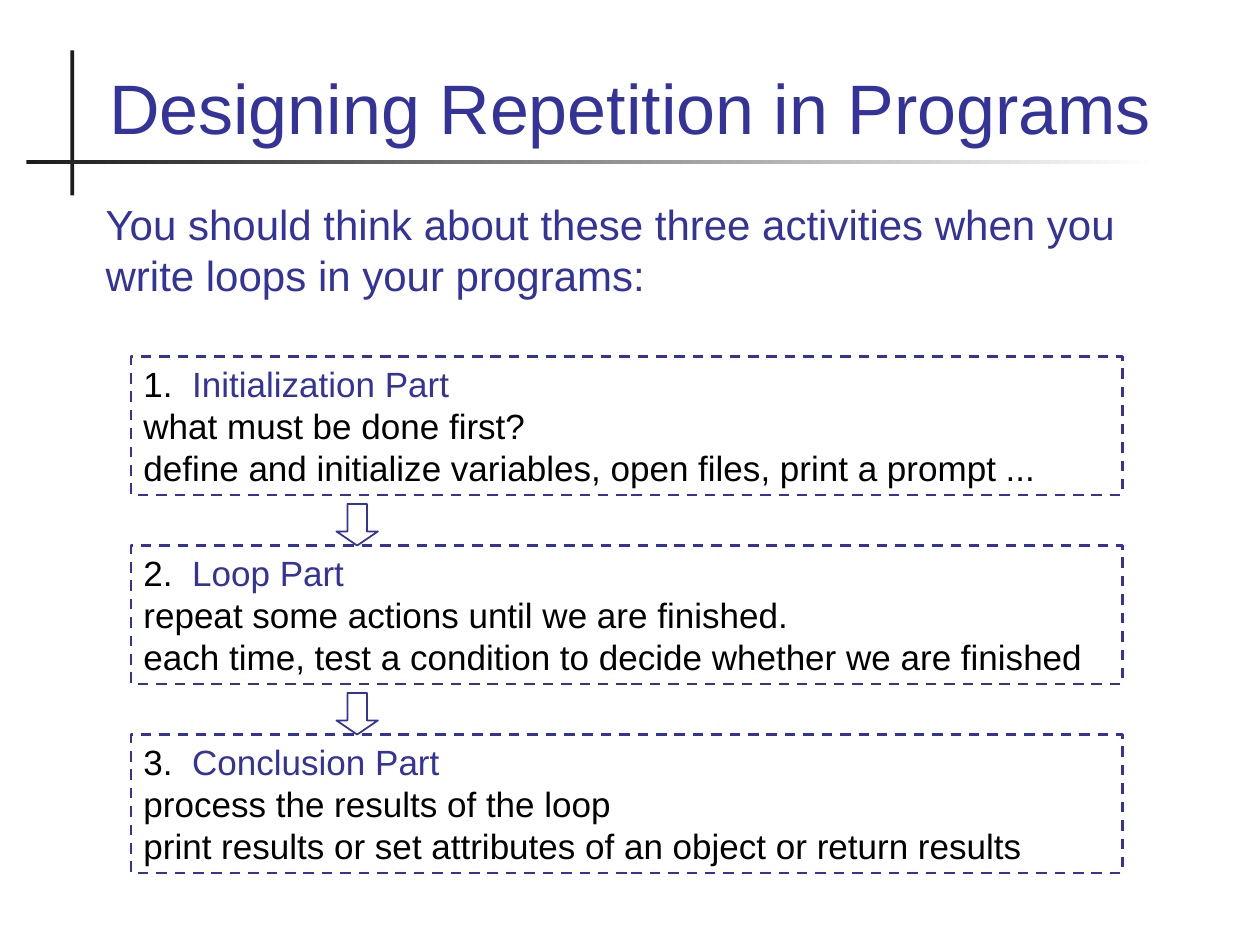
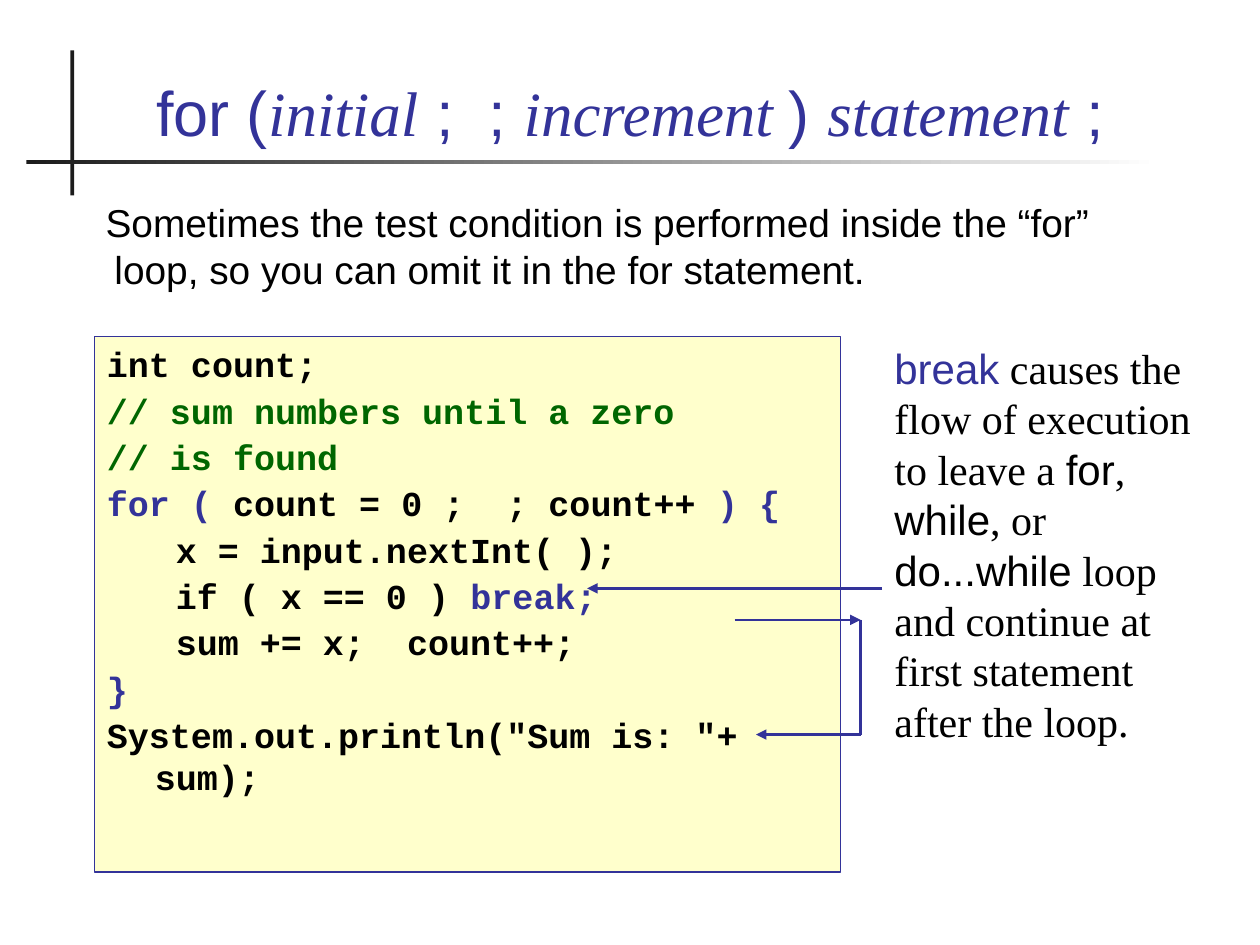
from lxml import etree
from pptx import Presentation
from pptx.dml.color import RGBColor
from pptx.enum.dml import MSO_LINE
from pptx.enum.shapes import MSO_CONNECTOR, MSO_SHAPE
from pptx.enum.text import MSO_ANCHOR, PP_ALIGN
from pptx.oxml.ns import qn
from pptx.util import Pt

PX = 9144  # 100 px to the inch
PAGE_WIDTH, PAGE_HEIGHT = 1000, 750
BLANK_LAYOUT = 6

BLUE = RGBColor(0x33, 0x33, 0x99)
INK = RGBColor(0x1C, 0x1C, 0x1C)
BLACK = RGBColor(0x00, 0x00, 0x00)
WHITE = RGBColor(0xFF, 0xFF, 0xFF)
GREEN = RGBColor(0x00, 0x66, 0x00)
CREAM = RGBColor(0xFF, 0xFF, 0xCC)

SANS, SERIF, MONO = "Arial", "Times New Roman", "Courier New"
RECTANGLE, DOWN_ARROW = MSO_SHAPE.RECTANGLE, MSO_SHAPE.DOWN_ARROW
STRAIGHT, DASH = MSO_CONNECTOR.STRAIGHT, MSO_LINE.DASH
LEFT, CENTER = PP_ALIGN.LEFT, PP_ALIGN.CENTER
TOP, BOTTOM = MSO_ANCHOR.TOP, MSO_ANCHOR.BOTTOM

TITLE_BOX = (67, 28, 866, 95)
INTRO_BOX = (74, 153, 866, 114)
STAGE_BOX = (104, 283, 787, 110)
STAGE_STEP = 150
CODE_BOX = (75, 267, 592, 425)
NOTE_BOX = (700, 267, 258, 330)

IN_BLUE = {"color": BLUE}
IN_SERIF = {"font": SERIF, "color": BLACK}
IN_SANS = {"color": BLACK}
IN_ITALIC = {"font": SERIF, "italic": True}

STAGES = [
    ("1.  ", "Initialization Part", "what must be done first?",
     "define and initialize variables, open files, print a prompt ..."),
    ("2.  ", "Loop Part", "repeat some actions until we are finished.",
     "each time, test a condition to decide whether we are finished"),
    ("3.  ", "Conclusion Part", "process the results of the loop",
     "print results or set attributes of an object or return results"),
]

FOR_TITLE = [("for (", {}), ("initial", IN_ITALIC), (" ;  ; ", {}), ("increment ", IN_ITALIC),
             (") ", {}), ("statement", IN_ITALIC), (" ;", {})]

CODE_LINES = [
    [("int count;", {})],
    [("// sum numbers until a zero", {"color": GREEN})],
    [("// is found", {"color": GREEN})],
    [("for (", IN_BLUE), (" count = 0 ;  ; count++ ", {}), (") {", IN_BLUE)],
    [("\t x = input.nextInt( );", {})],
    [("\t if ( x == 0 ) ", {}), ("break;", IN_BLUE)],
    [("\t sum += x;  count++;", {})],
    [("}", IN_BLUE)],
    [('System.out.println("Sum is: "+ sum);', {})],
]

BREAK_NOTE = [
    ("break", IN_BLUE),
    (" causes the flow of execution to leave a ", IN_SERIF), ("for", IN_SANS),
    (", ", IN_SERIF), ("while", IN_SANS), (", or ", IN_SERIF), ("do...while", IN_SANS),
    (" loop and continue at first statement after the loop.", IN_SERIF),
]


def emu(*lengths):
    return [length * PX for length in lengths]


def style_font(font, name=None, color=None, italic=None):
    if name:
        font.name = name
    if color is not None:
        font.color.rgb = color
    if italic:
        font.italic = True


def fill_para(para, spans, size, font=SANS, color=BLACK, bold=False, align=LEFT, hanging=0):
    """Write (text, overrides) spans; a newline in a text is a line break."""
    if hanging:
        properties = para._p.get_or_add_pPr()
        properties.set("marL", str(hanging * PX))
        properties.set("indent", str(-hanging * PX))
    para.alignment = align
    para.line_spacing = Pt(round(size * 1.2, 1))
    style_font(para.font, font, color)
    para.font.size = Pt(size)
    para.font.bold = bold
    for text, override in spans:
        for index, piece in enumerate(text.split("\n")):
            if index:
                para.add_line_break()
            if piece:
                span = para.add_run()
                span.text = piece
                style_font(span.font, override.get("font"), override.get("color"),
                           override.get("italic"))


def prepare_frame(shape, anchor=TOP):
    frame = shape.text_frame
    frame.word_wrap = True
    frame.vertical_anchor = anchor
    return frame


def add_text(page, box, spans, size, anchor=TOP, **style):
    frame = prepare_frame(page.shapes.add_textbox(*emu(*box)), anchor)
    fill_para(frame.paragraphs[0], spans, size, **style)


def add_block(page, kind, box, fill=None, line_width=None):
    block = page.shapes.add_shape(kind, *emu(*box))
    block.shadow.inherit = False
    if fill is None:
        block.fill.background()
    else:
        block.fill.solid()
        block.fill.fore_color.rgb = fill
    if line_width is None:
        block.line.fill.background()
    else:
        block.line.color.rgb = BLUE
        block.line.width = Pt(line_width)
    return block


def add_flow_line(page, start, end, arrow=True):
    line = page.shapes.add_connector(STRAIGHT, *emu(*start, *end))
    line.line.color.rgb = BLUE
    line.line.width = Pt(1.5)
    if arrow:
        etree.SubElement(line.line._get_or_add_ln(), qn("a:tailEnd"), type="triangle")
    etree.SubElement(line._element.spPr, qn("a:effectLst"))


def add_page(deck, title, title_size):
    page = deck.slides.add_slide(deck.slide_layouts[BLANK_LAYOUT])
    page.background.fill.solid()
    page.background.fill.fore_color.rgb = WHITE
    # Crossed bars beside and under the title
    add_block(page, RECTANGLE, (56, 40, 3, 115), INK)
    rule = add_block(page, RECTANGLE, (21, 127, 899, 3), INK)
    rule.fill.gradient()
    rule.fill.gradient_angle = 0
    for stop, color in zip(rule.fill.gradient_stops, (INK, WHITE)):
        stop.color.rgb = color
    add_text(page, TITLE_BOX, title, title_size, BOTTOM, color=BLUE, align=CENTER)
    return page


def add_stage(page, box, stage):
    number, heading, question, actions = stage
    block = add_block(page, RECTANGLE, box, line_width=1.5)
    block.line.dash_style = DASH
    spans = [(number, {}), (heading, IN_BLUE), (f"\n{question}\n{actions}", {})]
    fill_para(prepare_frame(block).paragraphs[0], spans, 20)


def add_stage_arrow(page, box):
    """Place an arrow that ends on the top edge of a stage box."""
    left, top = box[:2]
    arrow = add_block(page, DOWN_ARROW, (left + 163, top - 33, 33, 33), line_width=1)
    arrow.adjustments[0] = 0.47
    arrow.adjustments[1] = 0.34


def add_code(page, box):
    frame = prepare_frame(add_block(page, RECTANGLE, box, CREAM, 0.75))
    for index, spans in enumerate(CODE_LINES):
        para = frame.add_paragraph() if index else frame.paragraphs[0]
        fill_para(para, spans, 20, font=MONO, bold=True, hanging=38)
        if index:
            para.space_before = Pt(2.5)


def add_break_flow(page, box):
    """Draw the pointer to break and the path from it past the loop."""
    left, top, width, _ = box
    turn_x = left + width + 16
    leave_y, land_y = top + 225, top + 316
    add_flow_line(page, (left + 625, top + 200), (left + 391, top + 200))
    add_flow_line(page, (left + 508, leave_y), (turn_x, leave_y))
    add_flow_line(page, (turn_x, leave_y), (turn_x, land_y), arrow=False)
    add_flow_line(page, (turn_x, land_y), (left + 525, land_y))


def build_stages_page(deck):
    page = add_page(deck, [("Designing Repetition in Programs", {})], 40)
    intro = "You should think about these three activities when you write loops in your programs:"
    add_text(page, INTRO_BOX, [(intro, {})], 24, color=BLUE)
    left, top, width, height = STAGE_BOX
    for index, stage in enumerate(STAGES):
        box = (left, top + index * STAGE_STEP, width, height)
        add_stage(page, box, stage)
        if index:
            add_stage_arrow(page, box)


def build_break_page(deck):
    page = add_page(deck, FOR_TITLE, 36)
    intro = ("Sometimes the test condition is performed inside the “for” loop, "
             "so you can omit it in the for statement.")
    add_text(page, INTRO_BOX, [(intro, {})], 22.2, hanging=7)
    add_code(page, CODE_BOX)
    add_text(page, NOTE_BOX, BREAK_NOTE, 24)
    add_break_flow(page, CODE_BOX)


def main():
    deck = Presentation()
    deck.slide_width, deck.slide_height = emu(PAGE_WIDTH, PAGE_HEIGHT)
    build_stages_page(deck)
    build_break_page(deck)
    deck.save("out.pptx")


if __name__ == "__main__":
    main()
